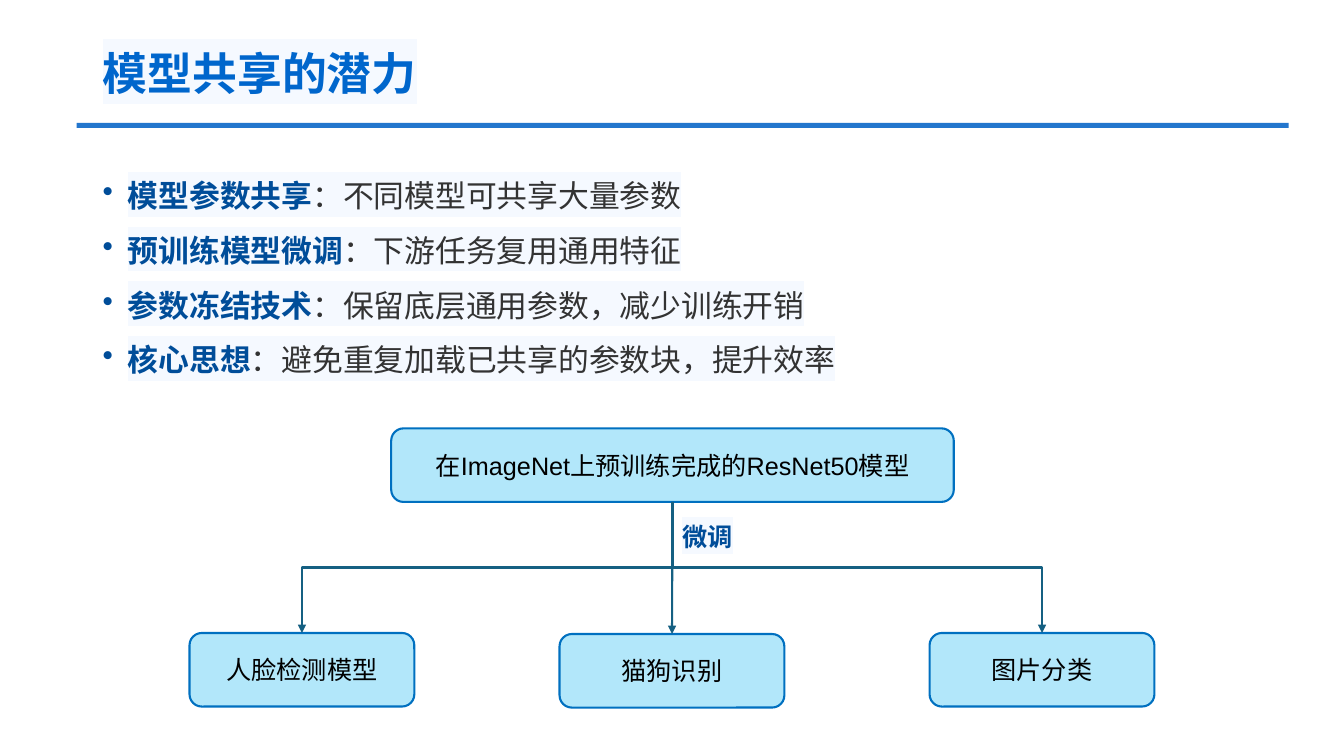
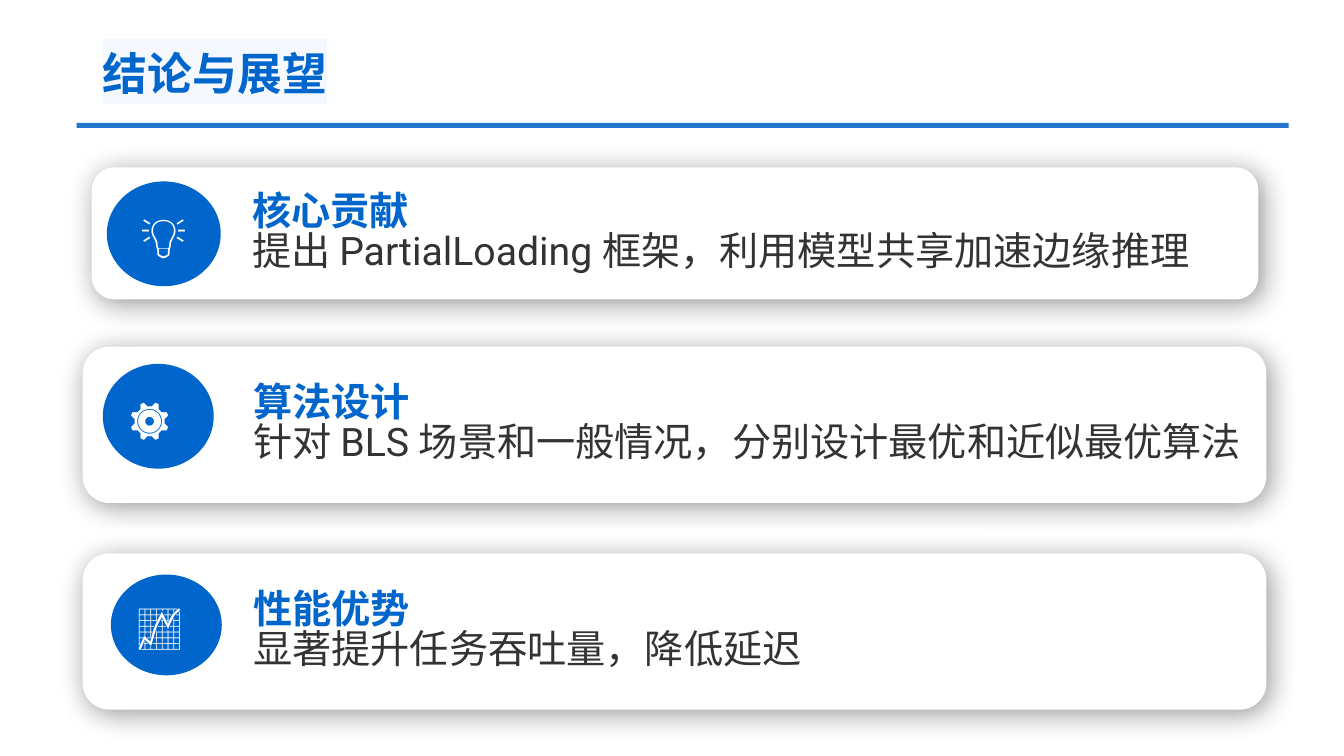
from lxml import etree
from pptx import Presentation
from pptx.dml.color import RGBColor
from pptx.enum.shapes import MSO_CONNECTOR, MSO_SHAPE
from pptx.enum.text import MSO_ANCHOR, PP_ALIGN
from pptx.oxml.ns import qn
from pptx.util import Inches, Pt

COLORS = {
    "rule": "2376CD",
    "title": "0066CC",
    "term": "004D99",
    "body": "333333",
    "highlight": "F5F9FF",
    "node": "00B0F0",
    "node_line": "0070C0",
    "arrow": "156082",
    "black": "000000",
    "white": "FFFFFF",
}
LATIN_FONT = "Arial"
MAIN_FONT = "Roboto"
ROUNDED, OVAL, RECT = MSO_SHAPE.ROUNDED_RECTANGLE, MSO_SHAPE.OVAL, MSO_SHAPE.RECTANGLE
STRAIGHT, ELBOW = MSO_CONNECTOR.STRAIGHT, MSO_CONNECTOR.ELBOW
LEFT, CENTER = PP_ALIGN.LEFT, PP_ALIGN.CENTER
TOP, MIDDLE = MSO_ANCHOR.TOP, MSO_ANCHOR.MIDDLE
TITLE_ONLY = 5
TOP_SIDE, BOTTOM_SIDE = 0, 2
CARD_TEXT_LEFT = 2.51
CARD_INSET = 0.17


def rgb(name):
    """Return the named colour."""
    return RGBColor.from_string(COLORS[name])


def add_xml(parent, tag, **attributes):
    """Append a child element with the given attributes."""
    return etree.SubElement(parent, qn(tag), attributes)


def write_text(frame, paragraphs, size, font=MAIN_FONT, align=LEFT, anchor=TOP, wrap=True,
               spacing=None, after=0, indent=0, bullet=None, highlight=None):
    """Fill a text frame with paragraphs, each a list of (text, colour, bold) runs."""
    frame.word_wrap = wrap
    frame.vertical_anchor = anchor
    for number, runs in enumerate(paragraphs):
        paragraph = frame.add_paragraph() if number else frame.paragraphs[0]
        paragraph.alignment = align
        paragraph.space_after = Pt(after)
        if spacing:
            paragraph.line_spacing = spacing
        properties = paragraph._p.get_or_add_pPr()
        if indent:
            properties.set("marL", str(Inches(indent)))
            properties.set("indent", str(-Inches(indent) if bullet else 0))
        if bullet:
            add_xml(properties, "a:buChar", char=bullet)
        for text, color, bold in runs:
            run = paragraph.add_run()
            run.text = text
            run.font.size = Pt(size)
            run.font.bold = bold
            run.font.color.rgb = rgb(color)
            if highlight:
                mark = add_xml(run._r.get_or_add_rPr(), "a:highlight")
                add_xml(mark, "a:srgbClr", val=COLORS[highlight])
            run.font.name = font


def add_box(slide, kind, box, fill, line=None, alpha=None):
    """Draw a preset shape with a flat fill and an optional outline."""
    shape = slide.shapes.add_shape(kind, *map(Inches, box))
    shape.shadow.inherit = False
    shape.fill.solid()
    shape.fill.fore_color.rgb = rgb(fill)
    if alpha:
        color = shape.element.spPr.find(qn("a:solidFill")).find(qn("a:srgbClr"))
        add_xml(color, "a:alpha", val=str(alpha * 1000))
    if line:
        shape.line.color.rgb = rgb(line)
        shape.line.width = Pt(1.5)
    else:
        shape.line.fill.background()
    return shape


def add_soft_shadow(shape):
    """Give a shape a blurred shadow to the lower right."""
    effects = shape.element.spPr.find(qn("a:effectLst"))
    shadow = add_xml(effects, "a:outerShdw", blurRad=str(Pt(20)), dist=str(Pt(3)),
                     dir="2700000", algn="tl", rotWithShape="0")
    color = add_xml(shadow, "a:srgbClr", val=COLORS["black"])
    add_xml(color, "a:alpha", val="40000")


def add_title_rule(slide, layout):
    """Put the rule under the title on the shared layout."""
    rule = add_box(slide, RECT, (0.76, 1.22, 12.02, 0.05), "rule")
    layout.shapes.element.append(rule.element)


def add_titled_slide(deck, title):
    """Add a slide with the shared title style."""
    slide = deck.slides.add_slide(deck.slide_layouts[TITLE_ONLY])
    heading = slide.shapes.title
    heading.left, heading.top, heading.width, heading.height = map(Inches, (0.92, 0.47, 6.31, 0.57))
    write_text(heading.text_frame, [[(title, "title", True)]], 32, anchor=MIDDLE,
               wrap=False, spacing=0.9, highlight="highlight")
    return slide


def add_points(slide, box, points):
    """List the points, each a bold term and its explanation."""
    area = slide.shapes.add_textbox(*map(Inches, box))
    paragraphs = [[(term, "term", True), (f"：{detail}", "body", False)] for term, detail in points]
    write_text(area.text_frame, paragraphs, 22, spacing=1.1, after=10, indent=0.25,
               bullet="•", highlight="highlight")


def add_node(slide, box, label):
    """Draw one model of the tree."""
    node = add_box(slide, ROUNDED, box, "node", "node_line", alpha=30)
    write_text(node.text_frame, [[(label, "black", False)]], 18, font=LATIN_FONT,
               align=CENTER, anchor=MIDDLE)
    return node


def add_branch(slide, parent, child):
    """Draw an arrow from the parent's bottom to the child's top."""
    start_x, start_y = parent.left + parent.width // 2, parent.top + parent.height
    end_x, end_y = child.left + child.width // 2, child.top
    across, down = end_x - start_x, end_y - start_y
    aligned = abs(across) < Inches(0.02)
    arrow = slide.shapes.add_connector(STRAIGHT if aligned else ELBOW, start_x, start_y, end_x, end_y)
    arrow.begin_connect(parent, BOTTOM_SIDE)
    arrow.end_connect(child, TOP_SIDE)
    if not aligned:
        arrow.width, arrow.height = down, abs(across)
        arrow.left = (start_x + end_x - down) // 2
        arrow.top = (start_y + end_y - abs(across)) // 2
        frame = arrow.element.spPr.find(qn("a:xfrm"))
        frame.set("rot", "5400000" if across < 0 else "16200000")
        frame.set("flipH", "0" if across < 0 else "1")
    arrow.line.color.rgb = rgb("arrow")
    arrow.line.width = Pt(1.5)
    add_xml(arrow.line._get_or_add_ln(), "a:tailEnd", type="triangle")
    add_xml(arrow.element.spPr, "a:effectLst")


def add_model_tree(slide, left, top):
    """Draw the pretrained model and the models tuned from it."""
    root = add_node(slide, (left + 2, top, 5.58, 0.73), "在ImageNet上预训练完成的ResNet50模型")
    for column, (label, drop) in enumerate(
            [("人脸检测模型", 2.03), ("猫狗识别", 2.04), ("图片分类", 2.03)]):
        node = add_node(slide, (left + column * 3.67, top + drop, 2.23, 0.73), label)
        add_branch(slide, root, node)
    caption = slide.shapes.add_textbox(*map(Inches, (left + 4.79, top + 0.87, 6.66, 0.4)))
    write_text(caption.text_frame, [[("微调", "term", True)]], 18, highlight="highlight")


def add_card(slide, box, badge, icon, heading, detail, icon_align=LEFT):
    """Draw a shadowed card with a round badge placed from the card's corner."""
    left, top = box[:2]
    card = add_box(slide, ROUNDED, box, "white", "white")
    add_soft_shadow(card)
    write_text(card.text_frame, [[(heading, "title", True)], [(detail, "body", False)]], 28,
               anchor=MIDDLE, spacing=0.85, indent=CARD_TEXT_LEFT - left - CARD_INSET)
    offset_x, offset_y, width, height = badge
    disc = add_box(slide, OVAL, (left + offset_x, top + offset_y, width, height), "title")
    write_text(disc.text_frame, [[(icon, "white", False)]], 32, align=icon_align, anchor=MIDDLE)


def build_sharing_slide(deck):
    """Build the slide on the potential of model sharing."""
    slide = add_titled_slide(deck, "模型共享的潜力")
    add_title_rule(slide, slide.slide_layout)
    add_points(slide, (0.92, 1.67, 11.5, 2.45), [
        ("模型参数共享", "不同模型可共享大量参数"),
        ("预训练模型微调", "下游任务复用通用特征"),
        ("参数冻结技术", "保留底层通用参数，减少训练开销"),
        ("核心思想", "避免重复加载已共享的参数块，提升效率"),
    ])
    add_model_tree(slide, 1.88, 4.25)


def build_conclusion_slide(deck):
    """Build the slide of conclusions."""
    slide = add_titled_slide(deck, "结论与展望")
    add_card(slide, (0.92, 1.67, 11.55, 1.29), (0.14, 0.13, 1.13, 1.04), "💡", "核心贡献",
             "提出 PartialLoading 框架，利用模型共享加速边缘推理", icon_align=CENTER)
    add_card(slide, (0.83, 3.45, 11.72, 1.53), (0.19, 0.16, 1.1, 1.04), "⚙️", "算法设计",
             "针对 BLS 场景和一般情况，分别设计最优和近似最优算法")
    add_card(slide, (0.83, 5.5, 11.72, 1.53), (0.27, 0.2, 1.1, 1), "📈", "性能优势",
             "显著提升任务吞吐量，降低延迟")


def main():
    """Build and save the presentation."""
    deck = Presentation()
    deck.slide_width, deck.slide_height = Inches(13.33), Inches(7.5)
    build_sharing_slide(deck)
    build_conclusion_slide(deck)
    deck.save("out.pptx")


if __name__ == "__main__":
    main()
